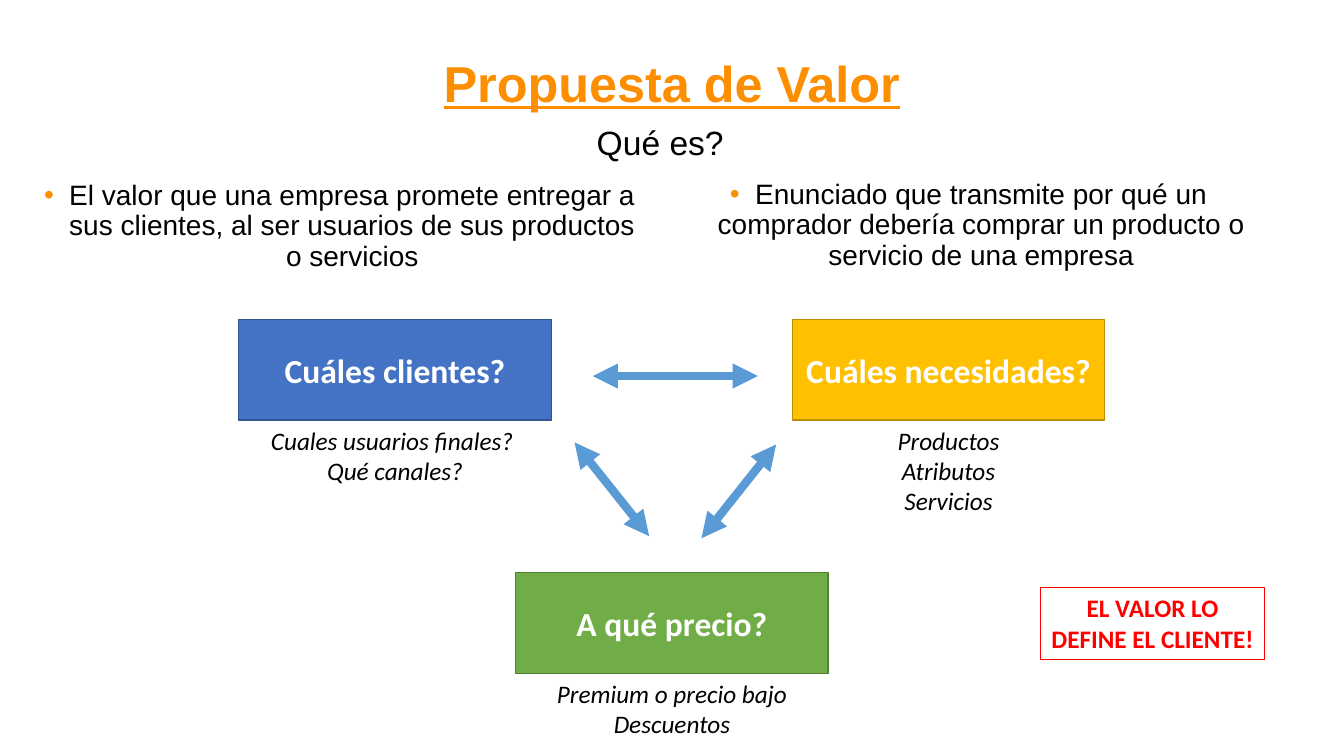
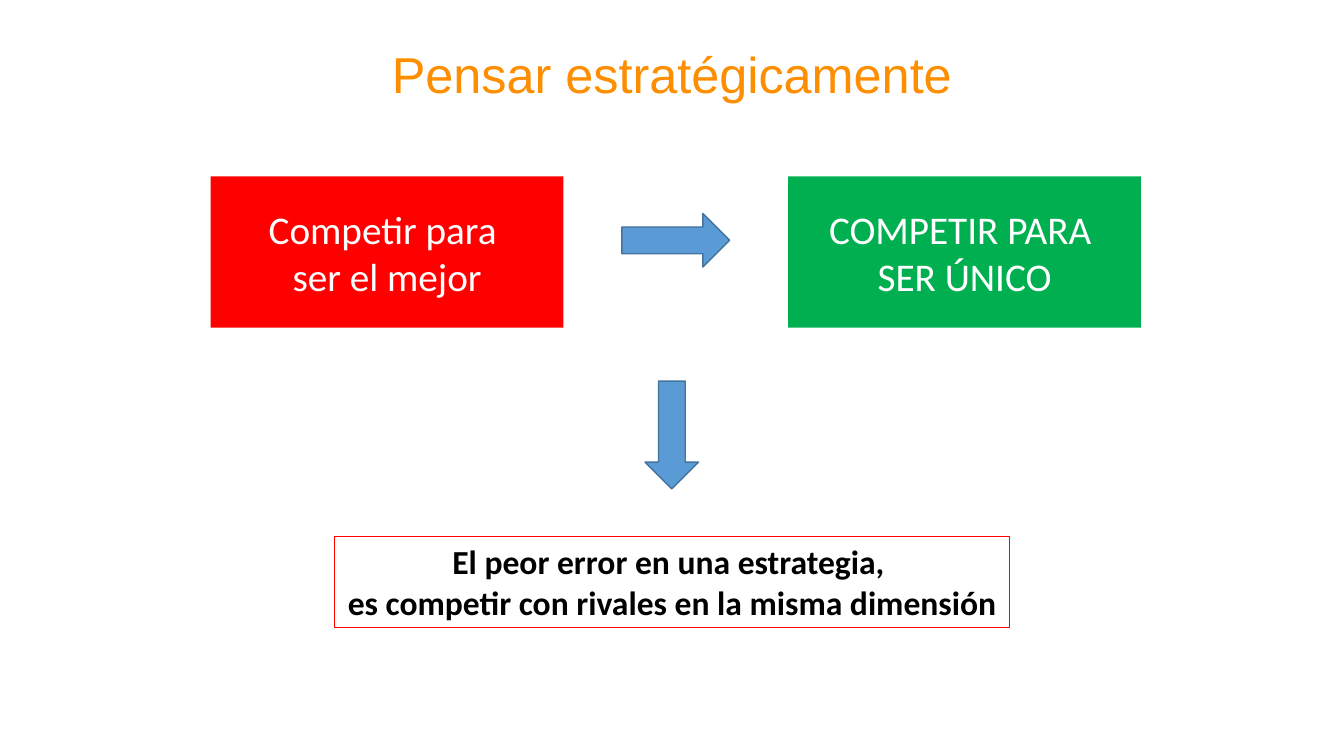
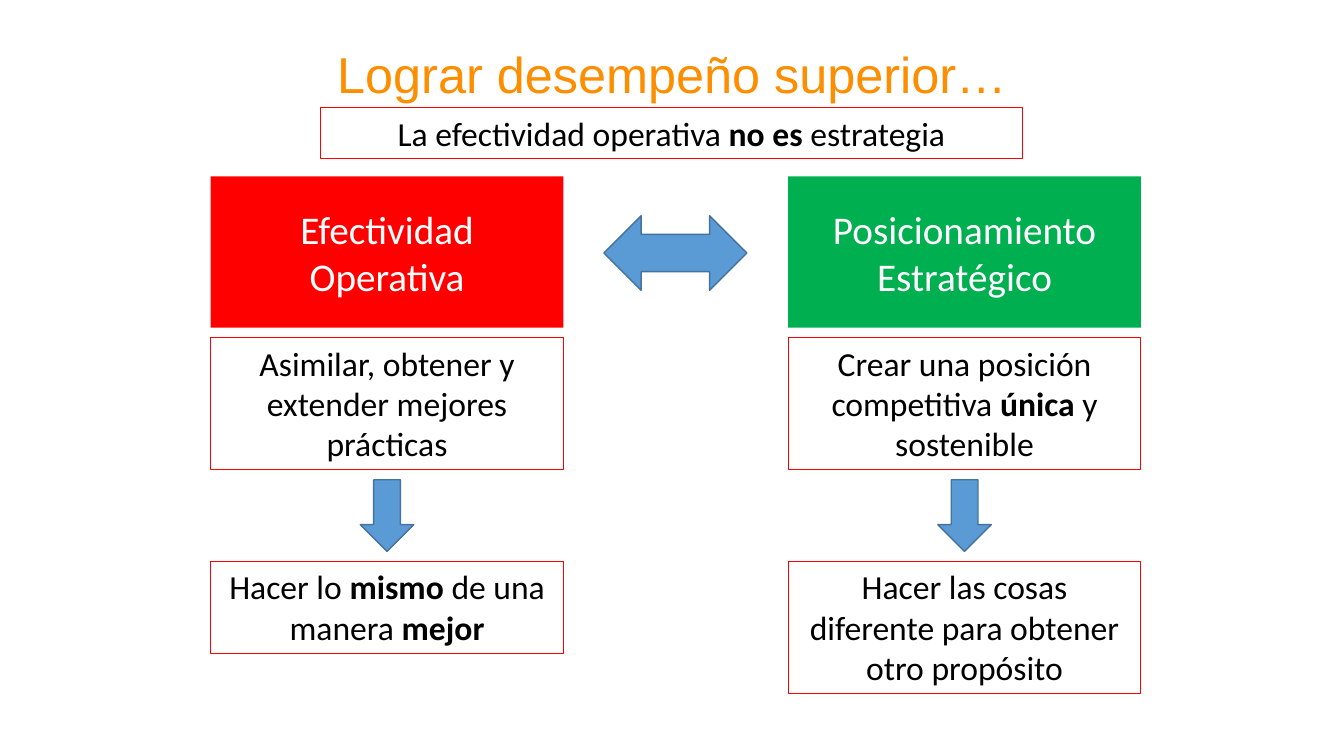
from dataclasses import dataclass, field
from typing import Any, Optional

from lxml import etree
from pptx import Presentation
from pptx.dml.color import RGBColor
from pptx.enum.shapes import MSO_CONNECTOR, MSO_SHAPE
from pptx.enum.text import MSO_ANCHOR, MSO_AUTO_SIZE, PP_ALIGN
from pptx.oxml.ns import qn
from pptx.slide import Slide
from pptx.util import Pt

CENTER = PP_ALIGN.CENTER
TOP, MIDDLE = MSO_ANCHOR.TOP, MSO_ANCHOR.MIDDLE
FIXED, GROW = MSO_AUTO_SIZE.NONE, MSO_AUTO_SIZE.SHAPE_TO_FIT_TEXT
RECTANGLE = MSO_SHAPE.RECTANGLE
RIGHT_ARROW = MSO_SHAPE.RIGHT_ARROW
DOWN_ARROW = MSO_SHAPE.DOWN_ARROW
DOUBLE_ARROW = MSO_SHAPE.LEFT_RIGHT_ARROW
STRAIGHT = MSO_CONNECTOR.STRAIGHT

ORANGE, BLACK, WHITE = "FD8E00", "000000", "FFFFFF"
RED, GREEN = "FF0000", "00B050"
ARROW_BLUE, ARROW_EDGE = "5B9BD5", "43739E"

SLIDE_WIDTH, SLIDE_HEIGHT = 960, 540
CARD_WIDTH, CARD_HEIGHT, CARD_TOP = 252, 108, 126
CARD_LEFTS = (150.5, 563)
CARD_FILLS = (RED, GREEN)
QUESTION_WIDTH, QUESTION_HEIGHT = 223.2, 72
ARROW_SPAN = 38.2
COLUMN_GAP = 7.2


@dataclass(frozen=True)
class Area:
    left: float
    top: float
    width: float
    height: float

    def lengths(self) -> tuple:
        return Pt(self.left), Pt(self.top), Pt(self.width), Pt(self.height)


@dataclass(frozen=True)
class TextStyle:
    size: float
    color: str = BLACK
    font: dict[str, Any] = field(default_factory=dict)
    frame: dict[str, Any] = field(default_factory=dict)
    spacing: Optional[float] = None
    bullet: bool = False


@dataclass(frozen=True)
class Question:
    left: float
    top: float
    fill: str
    edge: str
    text: str
    answers: tuple[str, ...]
    answers_height: float


@dataclass(frozen=True)
class Column:
    heading: str
    idea: str
    result: str
    result_height: float


ARIAL, CALIBRI = {"name": "Arial"}, {"name": "Calibri"}
BOLD_CALIBRI = {**CALIBRI, "bold": True}
TITLE_INSETS = {f"margin_{side}": Pt(5.76) for side in ("left", "right", "top", "bottom")}
TITLE_FRAME = {**TITLE_INSETS, "vertical_anchor": MIDDLE}
CENTERED, GROWING = {"vertical_anchor": MIDDLE}, {"auto_size": GROW}

TITLE = TextStyle(36, ORANGE, ARIAL, TITLE_FRAME, 0.9)
STRONG_TITLE = TextStyle(36, ORANGE, {**ARIAL, "bold": True, "underline": True}, TITLE_FRAME, 0.9)
SUBTITLE = TextStyle(24, font=ARIAL, spacing=0.9)
DEFINITION = TextStyle(20, font=ARIAL, spacing=0.9, bullet=True)
QUESTION = TextStyle(24, WHITE, BOLD_CALIBRI, CENTERED)
ANSWER = TextStyle(18, font={**CALIBRI, "italic": True}, frame=GROWING)
SLOGAN = TextStyle(18, RED, BOLD_CALIBRI, GROWING)
CARD = TextStyle(28, WHITE, CALIBRI, CENTERED)
NOTE = TextStyle(24, font=CALIBRI, frame=GROWING)
WARNING = TextStyle(24, font=BOLD_CALIBRI, frame={**GROWING, "word_wrap": False})

DEFINITIONS = (
    (Area(22.3, 126, 440.6, 81.4),
     "El valor que una empresa promete entregar a sus clientes, "
     "al ser usuarios de sus productos o servicios"),
    (Area(480.2, 125.3, 423.4, 81.4),
     "Enunciado que transmite por qué un comprador debería comprar "
     "un producto o servicio de una empresa"),
)
QUESTIONS = (
    Question(170.6, 228.2, "4472C4", "325491", "Cuáles clientes?",
             ("Cuales usuarios finales? ", "Qué canales?"), 51.1),
    Question(566, 228.2, "FFC000", "BD8E00", "Cuáles necesidades?",
             ("Productos", "Atributos", "Servicios"), 72.7),
    Question(368.4, 409, "70AD47", "538035", "A qué precio?",
             ("Premium o precio bajo", "Descuentos"), 51.1),
)
QUESTION_LINKS = (
    (423.4, 268.6, 541.4, 268.6),
    (501.1, 384.5, 554.4, 317.5),
    (463.7, 383, 410.4, 316),
)
COLUMNS = (
    Column("Efectividad Operativa", "Asimilar, obtener y extender mejores prácticas",
           "Hacer lo *mismo* de una manera *mejor*", 65.5),
    Column("Posicionamiento Estratégico", "Crear una posición competitiva *única* y sostenible",
           "Hacer las cosas diferente para obtener otro propósito", 94.3),
)


def rgb(value: str) -> RGBColor:
    return RGBColor.from_string(value)


def assign(target: Any, values: dict[str, Any]) -> None:
    for name, value in values.items():
        setattr(target, name, value)


def add_bullet(paragraph: Any) -> None:
    properties = paragraph._p.get_or_add_pPr()
    properties.set("marL", str(Pt(18)))
    properties.set("indent", str(-Pt(18)))
    tint = etree.SubElement(properties, qn("a:buClr"))
    etree.SubElement(tint, qn("a:srgbClr"), val=ORANGE)
    etree.SubElement(properties, qn("a:buFont"), typeface="Arial")
    etree.SubElement(properties, qn("a:buChar"), char="•")


def write(shape: Any, lines: tuple[str, ...], style: TextStyle) -> None:
    frame = shape.text_frame
    assign(frame, {"word_wrap": True, "vertical_anchor": TOP, "auto_size": FIXED, **style.frame})
    for position, line in enumerate(lines):
        paragraph = frame.paragraphs[0] if position == 0 else frame.add_paragraph()
        paragraph.alignment = CENTER
        if style.spacing:
            paragraph.line_spacing = style.spacing
        if style.bullet:
            add_bullet(paragraph)
        for part, words in enumerate(line.split("*")):
            if words:
                run = paragraph.add_run()
                run.text = words
                assign(run.font, {"size": Pt(style.size), **style.font})
                run.font.color.rgb = rgb(style.color)
                if part % 2:
                    run.font.bold = True


def add_text(slide: Slide, area: Area, style: TextStyle, *lines: str) -> None:
    write(slide.shapes.add_textbox(*area.lengths()), lines, style)


def add_figure(slide: Slide, kind: Any, area: Area, fill: Optional[str] = None,
               edge: Optional[str] = None, edge_width: float = 1) -> Any:
    figure = slide.shapes.add_shape(kind, *area.lengths())
    figure.shadow.inherit = False
    for paint, color in ((figure.fill, fill), (figure.line.fill, edge)):
        if color:
            paint.solid()
            paint.fore_color.rgb = rgb(color)
        else:
            paint.background()
    if edge:
        figure.line.width = Pt(edge_width)
    return figure


def add_arrow(slide: Slide, kind: Any, area: Area) -> None:
    add_figure(slide, kind, area, ARROW_BLUE, ARROW_EDGE)


def add_note(slide: Slide, area: Area, style: TextStyle, *lines: str) -> None:
    write(add_figure(slide, RECTANGLE, area, edge=RED, edge_width=0.75), lines, style)


def add_card(slide: Slide, position: int, *lines: str) -> None:
    area = Area(CARD_LEFTS[position], CARD_TOP, CARD_WIDTH, CARD_HEIGHT)
    write(add_figure(slide, RECTANGLE, area, CARD_FILLS[position]), lines, CARD)


def add_link(slide: Slide, ends: tuple[float, ...]) -> None:
    link = slide.shapes.add_connector(STRAIGHT, *map(Pt, ends))
    link.line.color.rgb = rgb(ARROW_BLUE)
    link.line.width = Pt(6)
    outline = link.line._get_or_add_ln()
    for end in ("a:headEnd", "a:tailEnd"):
        etree.SubElement(outline, qn(end), type="triangle")
    etree.SubElement(link._element.spPr, qn("a:effectLst"))


def add_titled_slide(deck: Any, title: str, style: TextStyle = TITLE, top: float = 28.8) -> Slide:
    slide = deck.slides.add_slide(deck.slide_layouts[6])
    add_text(slide, Area(66, top, 828, 53.3), style, title)
    return slide


def add_question(slide: Slide, question: Question) -> None:
    area = Area(question.left, question.top, QUESTION_WIDTH, QUESTION_HEIGHT)
    box = add_figure(slide, RECTANGLE, area, question.fill, question.edge)
    write(box, (question.text,), QUESTION)
    answers = Area(area.left, area.top + area.height, area.width, question.answers_height)
    add_text(slide, answers, ANSWER, *question.answers)


def add_column(slide: Slide, position: int, column: Column) -> None:
    left = CARD_LEFTS[position]
    idea_height, arrow_height = 94.3, 51.1
    idea_top = CARD_TOP + CARD_HEIGHT + COLUMN_GAP
    arrow_top = idea_top + idea_height + COLUMN_GAP
    result_top = arrow_top + arrow_height + COLUMN_GAP
    arrow_left = left + (CARD_WIDTH - ARROW_SPAN) / 2
    add_card(slide, position, column.heading)
    add_note(slide, Area(left, idea_top, CARD_WIDTH, idea_height), NOTE, column.idea)
    add_arrow(slide, DOWN_ARROW, Area(arrow_left, arrow_top, ARROW_SPAN, arrow_height))
    add_note(slide, Area(left, result_top, CARD_WIDTH, column.result_height), NOTE, column.result)


def build_value_proposition(deck: Any) -> None:
    slide = add_titled_slide(deck, "Propuesta de Valor", STRONG_TITLE, 34.6)
    add_text(slide, Area(251.3, 87.1, 440.6, 33.8), SUBTITLE, "Qué es?")
    for area, definition in DEFINITIONS:
        add_text(slide, area, DEFINITION, definition)
    for question in QUESTIONS:
        add_question(slide, question)
    for ends in QUESTION_LINKS:
        add_link(slide, ends)
    add_note(slide, Area(743, 419.8, 160.6, 51.1), SLOGAN, "EL VALOR LO DEFINE EL CLIENTE!")


def build_strategic_thinking(deck: Any) -> None:
    slide = add_titled_slide(deck, "Pensar estratégicamente")
    add_card(slide, 0, "Competir para ", "ser el mejor")
    add_card(slide, 1, "COMPETIR PARA ", "SER ÚNICO")
    add_arrow(slide, RIGHT_ARROW, Area(444.2, 152.6, 77, ARROW_SPAN))
    add_arrow(slide, DOWN_ARROW, Area(460.8, 272.2, ARROW_SPAN, 77))
    add_note(slide, Area(239, 383, 482.4, 65.5), WARNING,
             "El peor error en una estrategia, ",
             "es competir con rivales en la misma dimensión")


def build_superior_performance(deck: Any) -> None:
    slide = add_titled_slide(deck, "Lograr desempeño superior…")
    for position, column in enumerate(COLUMNS):
        add_column(slide, position, column)
    add_arrow(slide, DOUBLE_ARROW, Area(431.3, 154.1, 102.2, 53.3))
    add_note(slide, Area(229, 77, 501.1, 36), NOTE, "La efectividad operativa *no es* estrategia")


def main() -> None:
    deck = Presentation()
    deck.slide_width, deck.slide_height = Pt(SLIDE_WIDTH), Pt(SLIDE_HEIGHT)
    build_value_proposition(deck)
    build_strategic_thinking(deck)
    build_superior_performance(deck)
    deck.save("out.pptx")


if __name__ == "__main__":
    main()
